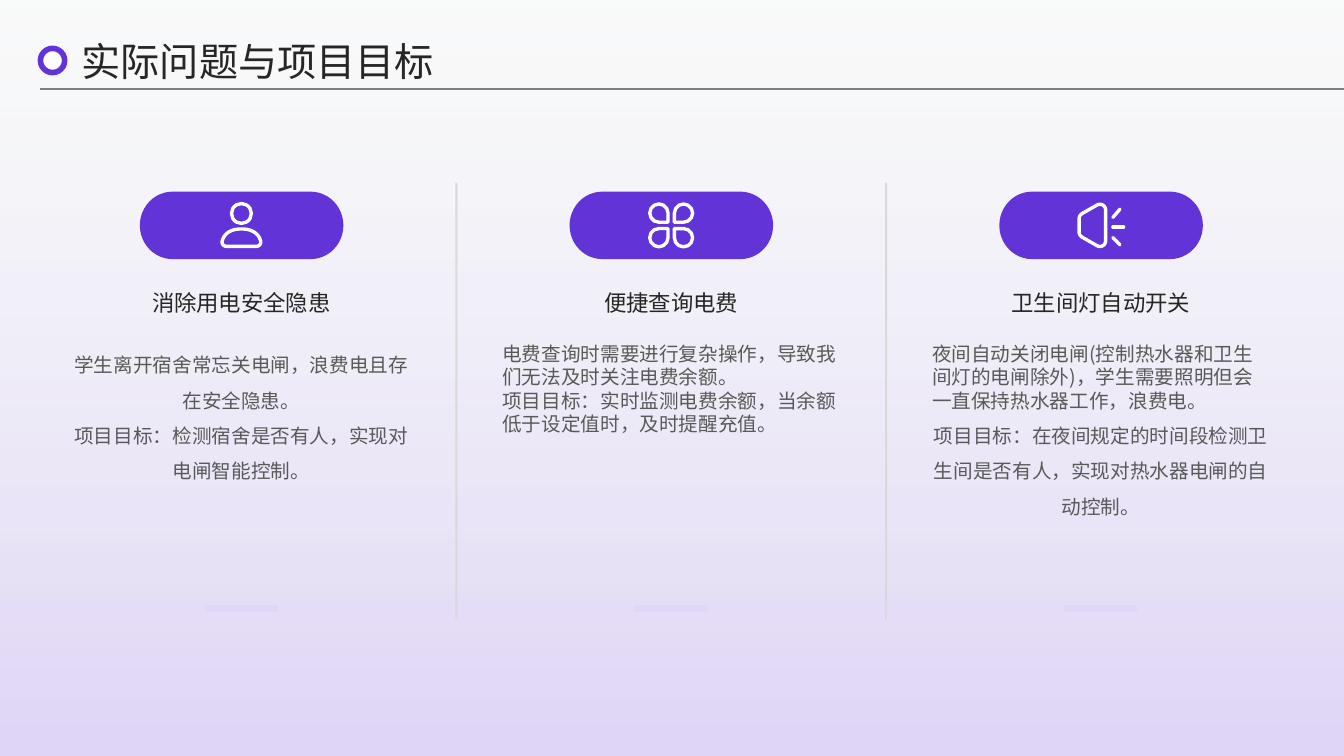
from dataclasses import dataclass
from itertools import product
from typing import Callable

from lxml import etree
from pptx import Presentation
from pptx.dml.color import RGBColor
from pptx.enum.shapes import MSO_CONNECTOR, MSO_SHAPE
from pptx.enum.text import MSO_ANCHOR, MSO_AUTO_SIZE, PP_ALIGN
from pptx.oxml.ns import qn
from pptx.util import Cm, Pt

RECTANGLE = MSO_SHAPE.RECTANGLE
OVAL = MSO_SHAPE.OVAL
TERMINATOR = MSO_SHAPE.FLOWCHART_TERMINATOR
TEAR = MSO_SHAPE.TEAR
STRAIGHT = MSO_CONNECTOR.STRAIGHT
LEFT, CENTER = PP_ALIGN.LEFT, PP_ALIGN.CENTER
TOP, MIDDLE = MSO_ANCHOR.TOP, MSO_ANCHOR.MIDDLE

FONT = "Noto Sans CJK SC"
PURPLE, LAVENDER, WHITE = "6233D7", "E0D6F7", "FFFFFF"
DARK, GRAY = "262626", "595959"
SLIDE_WIDTH, SLIDE_HEIGHT = 33.87, 19.05
COLUMN_LEFT, COLUMN_WIDTH, COLUMN_PITCH = 1.83, 8.51, 10.83
ICON_MIDDLE, ICON_LINE = 5.68, 2.4

Point = tuple[float, float]


@dataclass(frozen=True)
class Paragraph:
    text: str
    alignment: PP_ALIGN
    spacing: float


@dataclass(frozen=True)
class Column:
    heading: str
    paragraphs: list[Paragraph]
    draw_icon: Callable[[float], None]


def colour(value: str) -> RGBColor:
    return RGBColor.from_string(value)


def add_shape(kind, left: float, top: float, width: float, height: float,
              fill: str | None = None, line: str | None = None, weight: float = 1):
    shape = slide.shapes.add_shape(kind, Cm(left), Cm(top), Cm(width), Cm(height))
    style(shape, fill, line, weight)
    return shape


def style(shape, fill: str | None, line: str | None, weight: float) -> None:
    shape.shadow.inherit = False
    if fill:
        shape.fill.solid()
        shape.fill.fore_color.rgb = colour(fill)
    else:
        shape.fill.background()
    if line:
        shape.line.color.rgb = colour(line)
        shape.line.width = Pt(weight)
    else:
        shape.line.fill.background()


def add_line(start: Point, end: Point, line: str, weight: float, rounded: bool = False) -> None:
    connector = slide.shapes.add_connector(
        STRAIGHT, Cm(start[0]), Cm(start[1]), Cm(end[0]), Cm(end[1]))
    connector.line.color.rgb = colour(line)
    connector.line.width = Pt(weight)
    if rounded:
        connector.line._get_or_add_ln().set("cap", "rnd")
    etree.SubElement(connector._element.spPr, qn("a:effectLst"))


def write(shape, paragraphs: list[Paragraph], size: float, text_colour: str,
          anchor: MSO_ANCHOR = TOP) -> None:
    frame = shape.text_frame
    frame.word_wrap = True
    frame.auto_size = MSO_AUTO_SIZE.NONE
    frame.vertical_anchor = anchor
    frame.margin_left = frame.margin_right = frame.margin_top = frame.margin_bottom = 0
    for index, item in enumerate(paragraphs):
        paragraph = frame.add_paragraph() if index else frame.paragraphs[0]
        paragraph.alignment = item.alignment
        paragraph.line_spacing = item.spacing
        run = paragraph.add_run()
        run.text = item.text
        run.font.size = Pt(size)
        run.font.name = FONT
        run.font.color.rgb = colour(text_colour)
        etree.SubElement(run.font._element, qn("a:ea"), typeface=FONT)


def add_text(left: float, top: float, height: float, paragraphs: list[Paragraph],
             size: float, text_colour: str) -> None:
    box = slide.shapes.add_textbox(Cm(left), Cm(top), Cm(COLUMN_WIDTH), Cm(height))
    write(box, paragraphs, size, text_colour)


def sample_curve(start: Point, first: Point, second: Point, end: Point) -> list[Point]:
    steps = [step / 12 for step in range(13)]
    return [tuple((1 - t) ** 3 * a + 3 * (1 - t) ** 2 * t * b + 3 * (1 - t) * t ** 2 * c + t ** 3 * d
                  for a, b, c, d in zip(start, first, second, end)) for t in steps]


def add_mirrored_outline(center: float, half: list[Point], flip: Point) -> None:
    mirrored = [(x * flip[0], y * flip[1]) for x, y in reversed(half)]
    points = [(Cm(center + x), Cm(ICON_MIDDLE + y)) for x, y in half + mirrored]
    builder = slide.shapes.build_freeform(*points[0])
    builder.add_line_segments(points[1:], close=True)
    style(builder.convert_to_shape(), None, WHITE, ICON_LINE)


def draw_person(center: float) -> None:
    add_shape(OVAL, center - 0.25, ICON_MIDDLE - 0.55, 0.5, 0.5, line=WHITE, weight=ICON_LINE)
    shoulder = sample_curve((0, 0.09), (0.31, 0.09), (0.44, 0.24), (0.48, 0.38))
    corner = sample_curve((0.48, 0.38), (0.51, 0.46), (0.45, 0.53), (0.37, 0.53))
    add_mirrored_outline(center, shoulder + corner, (-1, 1))


def draw_clover(center: float) -> None:
    size, offset = 0.46, 0.31
    rotations = [90, 180, 0, 270]
    for (row, side), rotation in zip(product((-1, 1), repeat=2), rotations):
        petal = add_shape(TEAR, center + side * offset - size / 2,
                          ICON_MIDDLE + row * offset - size / 2, size, size,
                          line=WHITE, weight=ICON_LINE)
        petal.rotation = rotation


def draw_lamp(center: float) -> None:
    upper = sample_curve((0.12, -0.38), (0.12, -0.5), (0, -0.57), (-0.1, -0.51))
    lower = sample_curve((-0.47, -0.3), (-0.52, -0.27), (-0.55, -0.22), (-0.55, -0.16))
    add_mirrored_outline(center, upper + lower, (1, -1))
    rays = [((0.3, -0.2), (0.48, -0.41)), ((0.3, 0.04), (0.57, 0.04)), ((0.3, 0.31), (0.48, 0.49))]
    for ray in rays:
        start, end = [(center + x, ICON_MIDDLE + y) for x, y in ray]
        add_line(start, end, WHITE, ICON_LINE, rounded=True)


def draw_background() -> None:
    background = add_shape(RECTANGLE, 0, 0, SLIDE_WIDTH, SLIDE_HEIGHT)
    background.fill.gradient()
    background.fill.gradient_angle = 90
    for stop, value in zip(background.fill.gradient_stops, (LAVENDER, "F1F3F4")):
        stop.color.rgb = colour(value)
    top_colour = background._element.findall(".//" + qn("a:srgbClr"))[-1]
    etree.SubElement(top_colour, qn("a:alpha"), val="38000")
    slide.shapes._spTree.insert(2, background._element)


def draw_header() -> None:
    title = slide.shapes.title
    title.left, title.top, title.width, title.height = Cm(2.06), Cm(0.81), Cm(29.41), Cm(1.19)
    write(title, [Paragraph("实际问题与项目目标", LEFT, 1.2)], 28, DARK, MIDDLE)
    add_shape(OVAL, 1.02, 1.22, 0.61, 0.61, WHITE, PURPLE, 4)
    add_line((1, 2.24), (SLIDE_WIDTH, 2.24), "7F7F7F", 1.25)


def draw_column(index: int, column: Column) -> None:
    left = COLUMN_LEFT + index * COLUMN_PITCH
    center = left + COLUMN_WIDTH / 2
    add_shape(TERMINATOR, center - 2.56, 4.83, 5.13, 1.7, PURPLE)
    column.draw_icon(center)
    add_text(left, 7.21, 1.19, [Paragraph(column.heading, CENTER, 1.1)], 16, DARK)
    add_text(left, 8.61, 6, column.paragraphs, 14, GRAY)
    add_line((center - 0.92, 15.34), (center + 0.92, 15.34), LAVENDER, 5)
    if index:
        add_shape(RECTANGLE, left - 1.18, 4.6, 0.05, 11, "D9D9D9")


COLUMNS = [
    Column("消除用电安全隐患", [
        Paragraph("学生离开宿舍常忘关电闸，浪费电且存在安全隐患。", CENTER, 1.5),
        Paragraph("项目目标：检测宿舍是否有人，实现对电闸智能控制。", CENTER, 1.5),
    ], draw_person),
    Column("便捷查询电费", [
        Paragraph("电费查询时需要进行复杂操作，导致我们无法及时关注电费余额。", LEFT, 1),
        Paragraph("项目目标：实时监测电费余额，当余额低于设定值时，及时提醒充值。", LEFT, 1),
    ], draw_clover),
    Column("卫生间灯自动开关", [
        Paragraph("夜间自动关闭电闸(控制热水器和卫生间灯的电闸除外)，学生需要照明但会一直保持热水器工作，浪费电。", LEFT, 1),
        Paragraph("项目目标：在夜间规定的时间段检测卫生间是否有人，实现对热水器电闸的自动控制。", CENTER, 1.5),
    ], draw_lamp),
]

presentation = Presentation()
presentation.slide_width, presentation.slide_height = Cm(SLIDE_WIDTH), Cm(SLIDE_HEIGHT)
slide = presentation.slides.add_slide(presentation.slide_layouts[5])
draw_background()
draw_header()
for position, content in enumerate(COLUMNS):
    draw_column(position, content)
presentation.save("out.pptx")
